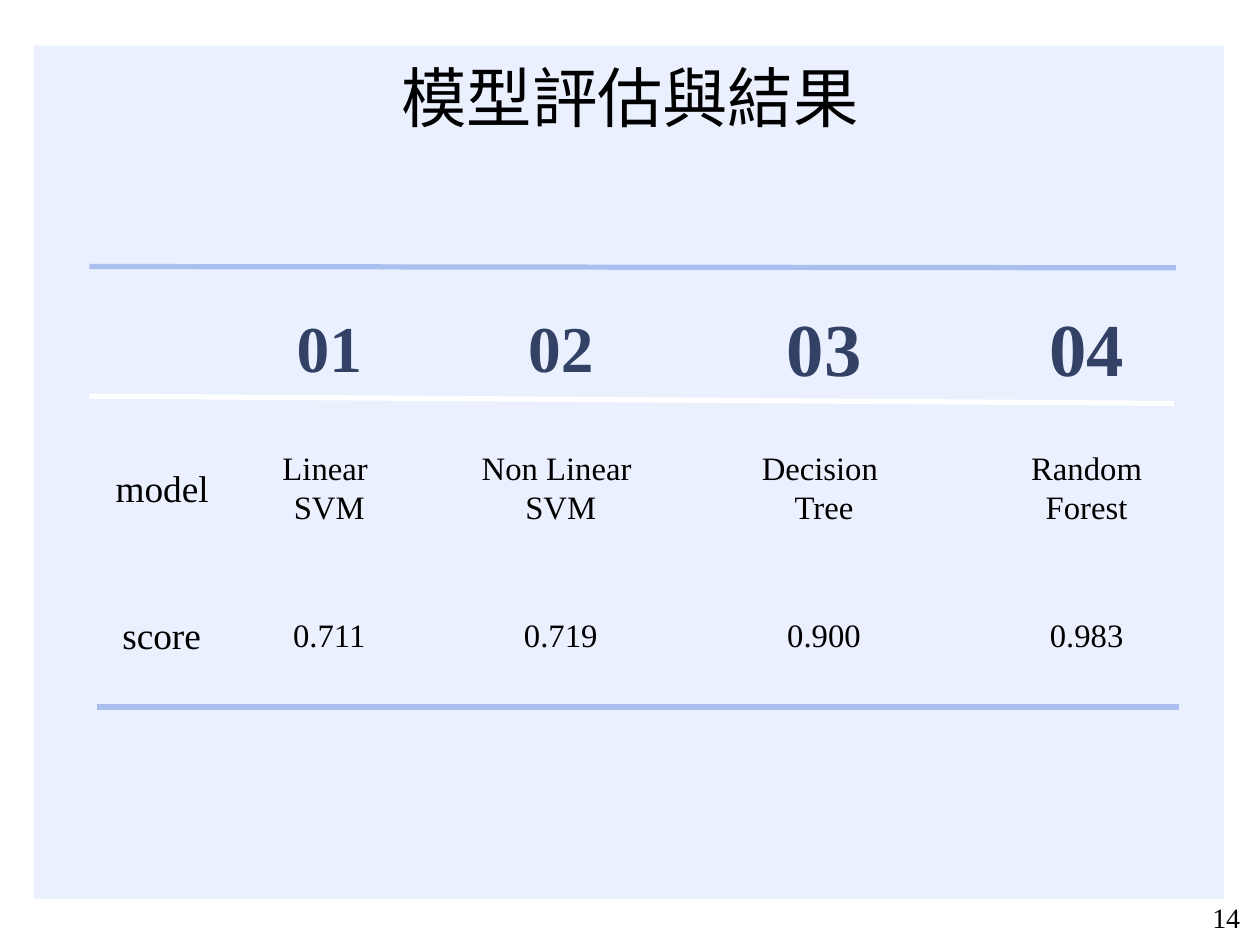
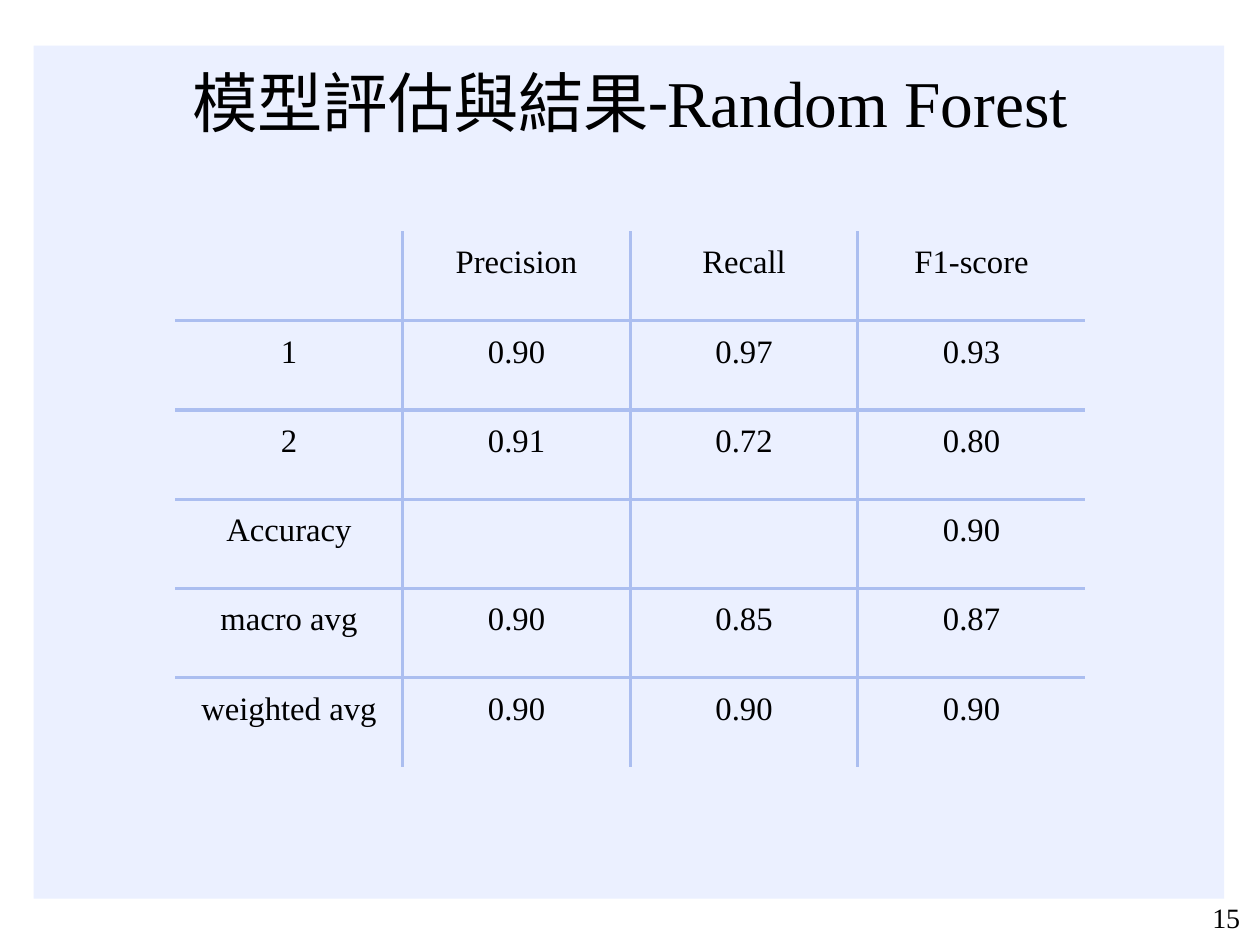
from lxml.etree import SubElement
from pptx import Presentation
from pptx.dml.color import RGBColor
from pptx.enum.shapes import MSO_CONNECTOR, MSO_SHAPE
from pptx.enum.text import MSO_ANCHOR, MSO_AUTO_SIZE, PP_ALIGN
from pptx.oxml.ns import qn
from pptx.util import Cm, Pt

COLORS = {"band": "EBF0FF", "rule": "ABBEF0", "number": "334166",
          "white": "FFFFFF", "text": "000000"}
SERIF = "Times New Roman"


def style(frame, size, align=PP_ALIGN.CENTER, color="text", bold=False):
    for paragraph in frame.paragraphs:
        paragraph.alignment = align
        for run in paragraph.runs:
            run.font.name = SERIF
            run.font.size = Pt(size)
            run.font.bold = bold
            run.font.color.rgb = RGBColor.from_string(COLORS[color])


def add_label(slide, text, left, top, width, height, size, **options):
    label = slide.shapes.add_textbox(Cm(left), Cm(top), Cm(width), Cm(height))
    label.text_frame.word_wrap = True
    label.text_frame.text = text
    style(label.text_frame, size, **options)


deck = Presentation()
deck.slide_width, deck.slide_height = Cm(19.05), Cm(14.29)

# Shared frame: band, title and page number
PAGES = [
    (14, 0.18, [("模型評估與結果", "Roboto")]),
    (15, 0.25, [("模型評估與結果-", "Roboto"), ("Random Forest", SERIF)]),
]
slides = []
for page, inset, title_parts in PAGES:
    slide = deck.slides.add_slide(deck.slide_layouts[5])
    slides.append(slide)

    band = slide.shapes.add_shape(MSO_SHAPE.RECTANGLE, Cm(0.51), Cm(0.69), Cm(18), Cm(12.9))
    band.shadow.inherit = False
    band.fill.solid()
    band.fill.fore_color.rgb = RGBColor.from_string(COLORS["band"])
    band.line.fill.background()
    slide.shapes.element.insert(2, band.element)  # behind the title

    title = slide.shapes.title
    title.left, title.top, title.width, title.height = Cm(1.5), Cm(0.69), Cm(16.05), Cm(1.65)
    frame = title.text_frame
    frame.auto_size = MSO_AUTO_SIZE.NONE
    frame.vertical_anchor = MSO_ANCHOR.TOP
    frame.margin_left = frame.margin_right = frame.margin_top = frame.margin_bottom = Cm(inset)
    for text, _ in title_parts:
        frame.paragraphs[0].add_run().text = text
    style(frame, 28)
    for run, (_, font) in zip(frame.paragraphs[0].runs, title_parts):
        run.font.name = font

    add_label(slide, str(page), 18.08, 13.49, 1.07, 0.76, 12, align=PP_ALIGN.LEFT)

models_slide, report_slide = slides

# Model comparison: centre, number size, name width, name, score
MODELS = [
    (4.98, 28, 2.18, "Linear \nSVM", "0.711"),
    (8.48, 28, 3.15, "Non Linear \nSVM", "0.719"),
    (12.46, 32, 3.15, "Decision \nTree", "0.900"),
    (16.43, 32, 3.15, "Random Forest", "0.983"),
]
for index, (centre, size, name_width, name, score) in enumerate(MODELS, 1):
    number_height = 1.45 if size == 28 else 1.63
    add_label(models_slide, f"{index:02}", centre - 1.12, 5.25 - number_height / 2,
              2.24, number_height, size, color="number", bold=True)
    add_label(models_slide, name, centre - name_width / 2, 6.65, name_width, 1.45, 14)
    add_label(models_slide, score, centre - 0.85, 9.17, 1.7, 0.86, 14)

add_label(models_slide, "model", 1.5, 6.91, 3.18, 0.94, 16, align=PP_ALIGN.LEFT)
add_label(models_slide, "score", 1.6, 9.14, 2, 0.94, 16, align=PP_ALIGN.LEFT)

# Rules above, between and below the rows
RULES = [
    (1.35, 4.03, 17.78, 4.05, "rule"),
    (1.35, 5.99, 17.75, 6.1, "white"),
    (1.47, 10.69, 17.83, 10.69, "rule"),
]
for x1, y1, x2, y2, color in RULES:
    rule = models_slide.shapes.add_connector(MSO_CONNECTOR.STRAIGHT, Cm(x1), Cm(y1), Cm(x2), Cm(y2))
    rule.line.color.rgb = RGBColor.from_string(COLORS[color])
    rule.line.width = Pt(2.25)
    SubElement(rule.element.spPr, qn("a:effectLst"))

# Classification report: inner grid lines only
REPORT = [
    ("", "Precision", "Recall", "F1-score"),
    ("1", "0.90", "0.97", "0.93"),
    ("2", "0.91", "0.72", "0.80"),
    ("Accuracy", "", "", "0.90"),
    ("macro avg", "0.90", "0.85", "0.87"),
    ("weighted avg", "0.90", "0.90", "0.90"),
]
last_row, last_column = len(REPORT) - 1, len(REPORT[0]) - 1
report = report_slide.shapes.add_table(len(REPORT), len(REPORT[0]), Cm(2.65), Cm(3.5),
                                       Cm(13.76), Cm(8.1)).table
report.first_row = report.horz_banding = False
for column in report.columns:
    column.width = Cm(3.44)
for row in report.rows:
    row.height = Cm(1.35)

for r, values in enumerate(REPORT):
    for c, value in enumerate(values):
        cell = report.cell(r, c)
        cell.text = value
        cell.margin_left = cell.margin_right = cell.margin_top = cell.margin_bottom = Cm(0.2)
        style(cell.text_frame, 14)
        properties = cell._tc.get_or_add_tcPr()
        inner_sides = {"a:lnL": c > 0, "a:lnR": c < last_column,
                       "a:lnT": r > 0, "a:lnB": r < last_row}
        for side, inner in inner_sides.items():
            border = SubElement(properties, qn(side), w=str(Pt(1.5)))
            if inner:
                fill = SubElement(border, qn("a:solidFill"))
                SubElement(fill, qn("a:srgbClr"), val=COLORS["rule"])
            else:
                SubElement(border, qn("a:noFill"))
        cell.fill.background()

deck.save("out.pptx")
